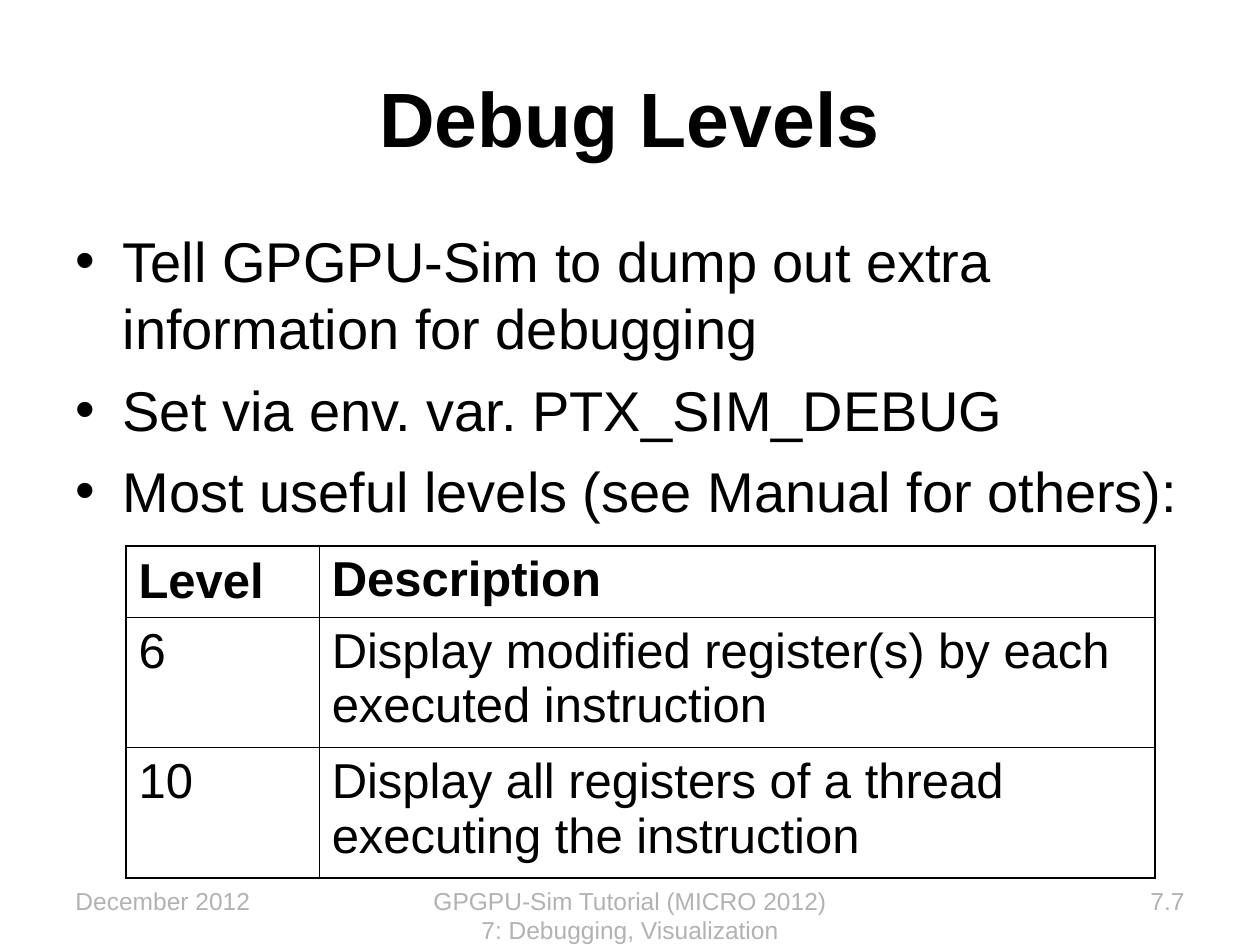
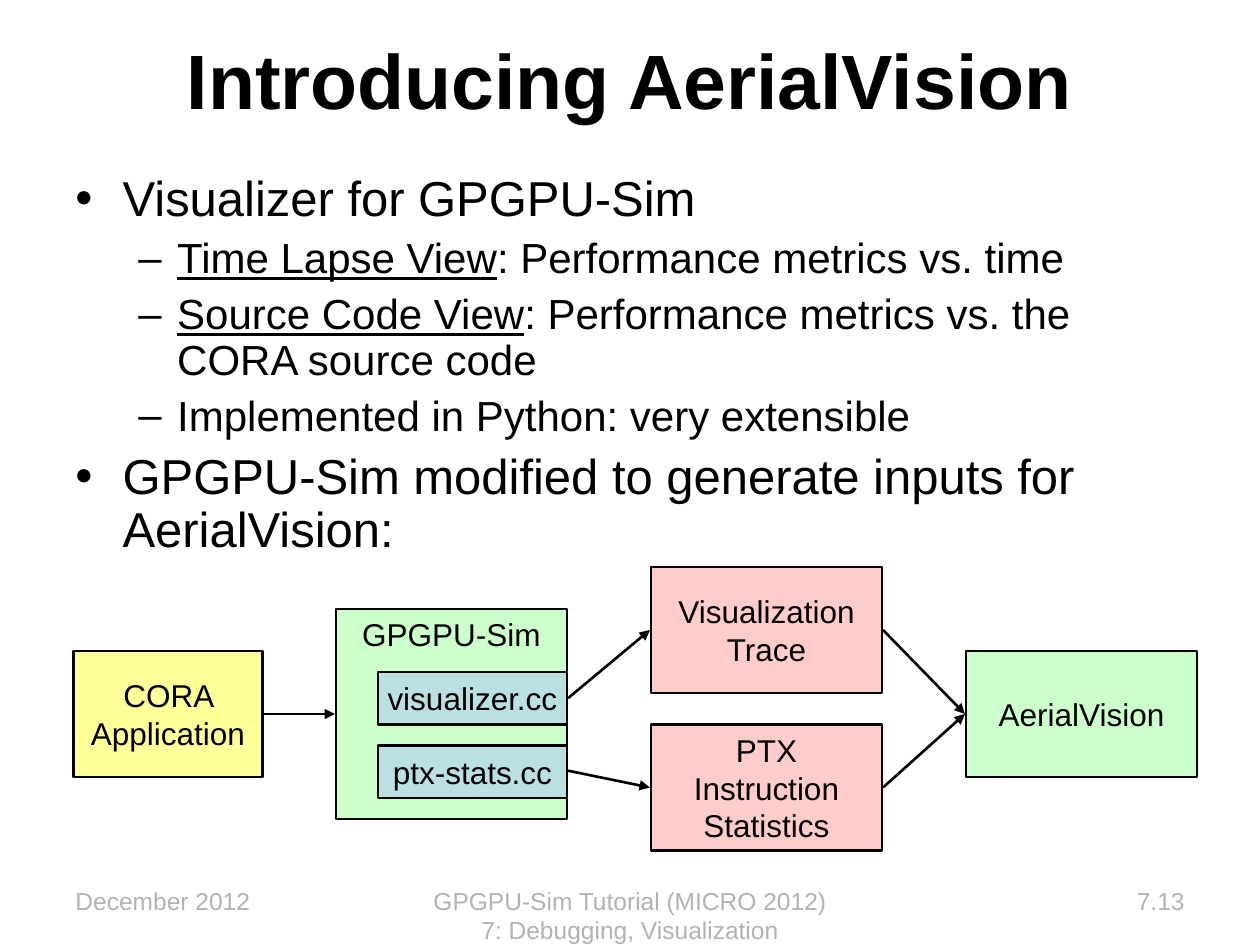
from lxml.etree import SubElement
from pptx import Presentation
from pptx.dml.color import RGBColor
from pptx.enum.shapes import MSO_CONNECTOR, MSO_SHAPE
from pptx.enum.text import MSO_ANCHOR, PP_ALIGN
from pptx.oxml import parse_xml
from pptx.oxml.ns import nsdecls, qn
from pptx.util import Pt

PX = 7620  # EMU per px, 120 px to the inch
COLORS = {"ink": "000000", "footer": "B2B2B2", "input": "FFFF99",
          "tool": "CCFFCC", "data": "FFCCCC", "file": "BBE0E3"}
FONT = "Arial"


def style(paragraph, size, color="ink", bold=False, align=PP_ALIGN.LEFT):
    paragraph.alignment = align
    font = paragraph.font
    font.name, font.size, font.bold = FONT, Pt(size), bold
    font.color.rgb = RGBColor.from_string(COLORS[color])


def add_text(slide, box, text, size, color="ink", bold=False,
             align=PP_ALIGN.LEFT, anchor=MSO_ANCHOR.TOP):
    shape = slide.shapes.add_textbox(*[value * PX for value in box])
    frame = shape.text_frame
    frame.word_wrap, frame.vertical_anchor = True, anchor
    frame.text = text
    style(frame.paragraphs[0], size, color, bold, align)


presentation = Presentation()
presentation.slide_width, presentation.slide_height = 1200 * PX, 900 * PX

# Slide content: a bullet is (level, underlined lead, text)
slide_data = [
    {"title": "Debug Levels", "title_top": 36, "number": "7.7",
     "body": (60, 210, 1080, 594), "sizes": (32, 28), "line_spacing": 1.0,
     "bullets": [
         (0, "", "Tell GPGPU-Sim to dump out extra information for debugging"),
         (0, "", "Set via env. var. PTX_SIM_DEBUG"),
         (0, "", "Most useful levels (see Manual for others):")]},
    {"title": "Introducing AerialVision", "title_top": 0, "number": "7.13",
     "body": (60, 160, 1080, 390), "sizes": (28, 24), "line_spacing": 0.9,
     "bullets": [
         (0, "", "Visualizer for GPGPU-Sim"),
         (1, "Time Lapse View", ": Performance metrics vs. time"),
         (1, "Source Code View",
          ": Performance metrics vs. the CORA source code"),
         (1, "", "Implemented in Python: very extensible"),
         (0, "", "GPGPU-Sim modified to generate inputs for AerialVision:")]},
]
bullet_levels = [("•", 45, 45), ("–", 97, 37)]  # symbol, margin, hanging

# Title, footers and bullets on both slides
slides = []
for data in slide_data:
    slide = presentation.slides.add_slide(presentation.slide_layouts[6])
    slides.append(slide)
    footers = [
        (60, 280, "December 2012", PP_ALIGN.LEFT),
        (400, 400, "GPGPU-Sim Tutorial (MICRO 2012) 7: Debugging, Visualization",
         PP_ALIGN.CENTER),
        (860, 280, data["number"], PP_ALIGN.RIGHT)]
    for left, width, text, align in footers:
        add_text(slide, (left, 838, width, 62), text, 14, "footer", align=align)
    add_text(slide, (60, data["title_top"], 1080, 150), data["title"], 44,
             bold=True, align=PP_ALIGN.CENTER, anchor=MSO_ANCHOR.MIDDLE)

    body = slide.shapes.add_textbox(*[value * PX for value in data["body"]])
    frame = body.text_frame
    frame.word_wrap = True
    for index, (level, lead, text) in enumerate(data["bullets"]):
        paragraph = frame.add_paragraph() if index else frame.paragraphs[0]
        symbol, margin, hanging = bullet_levels[level]
        size = data["sizes"][level]
        paragraph.level = level
        properties = paragraph._p.get_or_add_pPr()
        properties.set("marL", str(margin * PX))
        properties.set("indent", str(-hanging * PX))
        SubElement(properties, qn("a:buFont"), typeface=FONT)
        SubElement(properties, qn("a:buChar"), char=symbol)
        paragraph.line_spacing = data["line_spacing"]
        if index:
            paragraph.space_before = Pt(size // 4)
        if lead:
            run = paragraph.add_run()
            run.text, run.font.underline = lead, True
        paragraph.add_run().text = text
        style(paragraph, size)

debug_slide, vision_slide = slides

# Table of debug levels
levels = [("Level", "Description"),
          ("6", "Display modified register(s) by each executed instruction"),
          ("10", "Display all registers of a thread executing the instruction")]
column_widths, row_heights = (184, 796), (68, 124, 124)
table = debug_slide.shapes.add_table(
    3, 2, 120 * PX, 520 * PX, 980 * PX, 316 * PX).table
table.first_row = table.horz_banding = False
for column, width in zip(table.columns, column_widths):
    column.width = width * PX
for row_index, (row, height) in enumerate(zip(table.rows, row_heights)):
    row.height = height * PX
    for column_index, cell in enumerate(row.cells):
        cell.text = levels[row_index][column_index]
        style(cell.text_frame.paragraphs[0], 28, bold=row_index == 0)
        cell.fill.background()
        outer = {"L": column_index == 0, "R": column_index == 1,
                 "T": row_index == 0, "B": row_index == 2}
        for position, (side, is_outer) in enumerate(outer.items()):
            border = parse_xml(
                f'<a:ln{side} {nsdecls("a")} w="{Pt(1.08 if is_outer else 0.45)}">'
                f'<a:solidFill><a:srgbClr val="{COLORS["ink"]}"/></a:solidFill>'
                f'</a:ln{side}>')
            cell._tc.get_or_add_tcPr().insert(position, border)
table.cell(0, 0).vertical_anchor = MSO_ANCHOR.MIDDLE

# Flow diagram boxes: left, top, width, height, fill, lines
flow_boxes = [
    (70, 620, 180, 120, "input", ["CORA Application"]),
    (320, 580, 220, 200, "tool", ["GPGPU-Sim"]),
    (620, 540, 220, 120, "data", ["Visualization", "Trace"]),
    (620, 690, 220, 120, "data", ["PTX Instruction", "Statistics"]),
    (920, 620, 220, 120, "tool", ["AerialVision"]),
    (360, 640, 180, 50, "file", ["visualizer.cc"]),
    (360, 710, 180, 50, "file", ["ptx-stats.cc"]),
]
for left, top, width, height, color, lines in flow_boxes:
    shape = vision_slide.shapes.add_shape(
        MSO_SHAPE.RECTANGLE, left * PX, top * PX, width * PX, height * PX)
    shape.shadow.inherit = False
    shape.fill.solid()
    shape.fill.fore_color.rgb = RGBColor.from_string(COLORS[color])
    shape.line.color.rgb = RGBColor.from_string(COLORS["ink"])
    shape.line.width = Pt(1.5)
    frame = shape.text_frame
    frame.word_wrap = color != "file"
    frame.vertical_anchor = (
        MSO_ANCHOR.TOP if lines == ["GPGPU-Sim"] else MSO_ANCHOR.MIDDLE)
    frame.text = "\n".join(lines)
    for paragraph in frame.paragraphs:
        style(paragraph, 18, align=PP_ALIGN.CENTER)

# Flow diagram arrows: start x, start y, end x, end y
flow_arrows = [(251, 680, 319, 680), (541, 665, 619, 600), (541, 734, 619, 750),
               (841, 600, 919, 680), (841, 750, 919, 680)]
for points in flow_arrows:
    arrow = vision_slide.shapes.add_connector(
        MSO_CONNECTOR.STRAIGHT, *[value * PX for value in points])
    arrow.line.color.rgb = RGBColor.from_string(COLORS["ink"])
    arrow.line.width = Pt(1.5)
    SubElement(arrow.line._get_or_add_ln(), qn("a:tailEnd"), type="triangle")
    SubElement(arrow._element.spPr, qn("a:effectLst"))

presentation.save("out.pptx")
